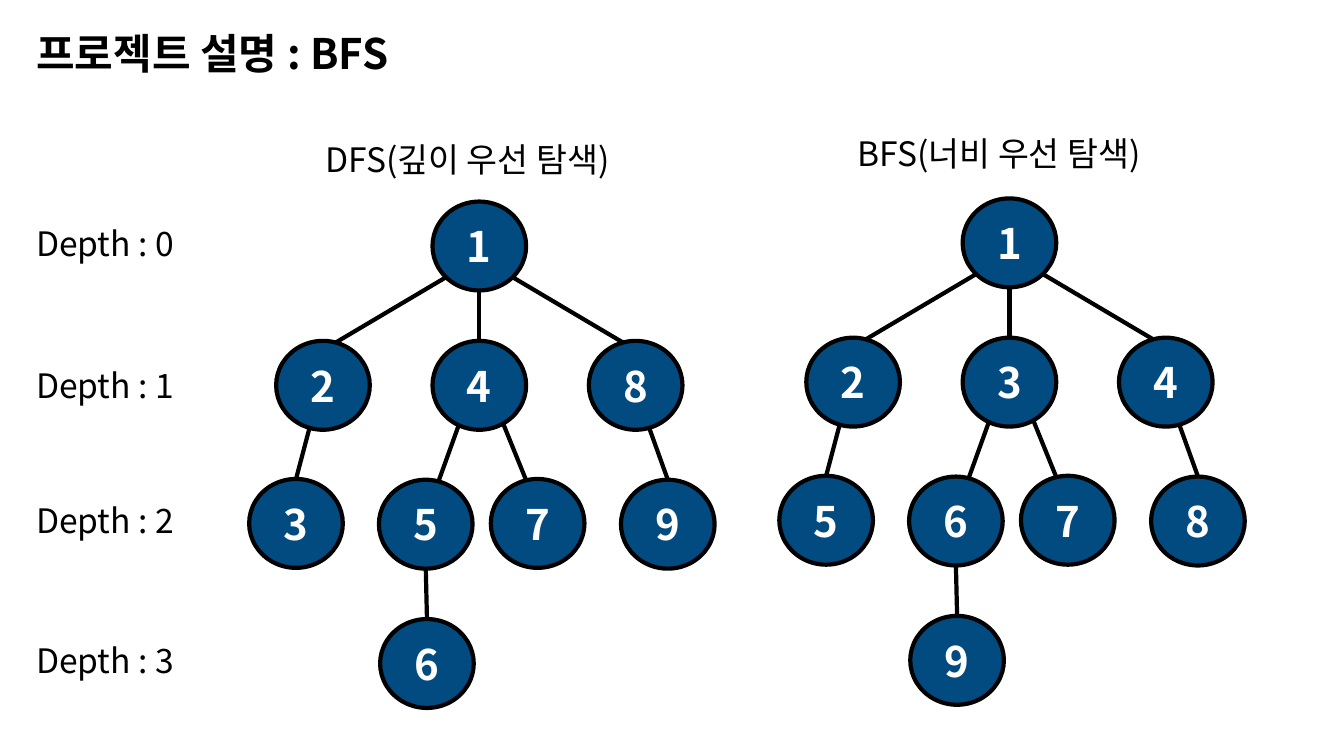
import dataclasses
import math

import pptx
import pptx.dml.color
import pptx.enum.shapes
import pptx.enum.text
import pptx.oxml
import pptx.oxml.ns
import pptx.util
from pptx.util import Cm

ALIGN = pptx.enum.text.PP_ALIGN
ANCHOR = pptx.enum.text.MSO_ANCHOR


@dataclasses.dataclass(frozen=True)
class Theme:
    font: str = "Noto Sans CJK KR"
    ink: str = "000000"
    node_fill: str = "024B80"
    node_text: str = "FFFFFF"
    heading_size: int = 30
    label_size: int = 24
    stroke: int = 3


THEME = Theme()

# All lengths are in centimetres
NODE_W, NODE_H = 2.36, 2.24
MARGIN = 0.66
LABEL_H = 1.27

# Node positions relative to the root of a tree
NODES = {
    "root": (0, 0),
    "middle": (0, 3.51),
    "left": (-3.94, 3.51),
    "right": (3.94, 3.51),
    "left leaf": (-4.62, 6.99),
    "right leaf": (4.75, 7.01),
    "middle left": (-1.35, 7.01),
    "middle right": (1.47, 6.99),
    "deepest": (-1.32, 10.52),
}

# Parent, child, and how far each end lies sideways from its node's centre
EDGES = [
    ("root", "middle", 0, 0),
    ("root", "left", -0.84, 0.32),
    ("root", "right", 0.84, -0.32),
    ("middle", "middle left", -0.52, 0.32),
    ("middle", "middle right", 0.6, -0.29),
    ("middle left", "deepest", 0, 0),
    ("left", "left leaf", -0.34, 0),
    ("right", "right leaf", 0.34, 0),
]

# Caption, its left, top and width, the root's left and top, numbers in NODES order
TREES = [
    ("DFS(깊이 우선 탐색)", (7.95, 3.38, 8.26), (10.9, 5.08), "142839576"),
    ("BFS(너비 우선 탐색)", (21.36, 3.23, 8.15), (24.26, 5.0), "132458679"),
]

DEPTH_TOPS = [5.49, 9.07, 12.47, 16.0]


def rgb(value):
    return pptx.dml.color.RGBColor.from_string(value)


def write(shape, text, size, color, bold=False, align=ALIGN.LEFT, anchor=ANCHOR.TOP):
    frame = shape.text_frame
    frame.text = text
    frame.word_wrap = False
    frame.vertical_anchor = anchor
    paragraph = frame.paragraphs[0]
    paragraph.alignment = align
    font = paragraph.runs[0].font
    font.name = THEME.font
    font.size = pptx.util.Pt(size)
    font.bold = bold
    font.color.rgb = rgb(color)
    # Korean letters take the East Asian typeface
    east_asian = pptx.oxml.parse_xml(
        f'<a:ea {pptx.oxml.ns.nsdecls("a")} typeface="{THEME.font}"/>')
    font._element.find(pptx.oxml.ns.qn("a:latin")).addnext(east_asian)


def style_line(line):
    line.color.rgb = rgb(THEME.ink)
    line.width = pptx.util.Pt(THEME.stroke)


def add_heading(slide, text):
    heading = slide.shapes.title
    heading.left, heading.top = Cm(MARGIN), Cm(0.56)
    heading.width, heading.height = Cm(10.16), Cm(1.55)
    write(heading, text, THEME.heading_size, THEME.ink, bold=True)
    heading.text_frame.auto_size = pptx.enum.text.MSO_AUTO_SIZE.SHAPE_TO_FIT_TEXT


def add_label(slide, text, left, top, width):
    label = slide.shapes.add_textbox(Cm(left), Cm(top), Cm(width), Cm(LABEL_H))
    write(label, text, THEME.label_size, THEME.ink)
    label.text_frame.auto_size = pptx.enum.text.MSO_AUTO_SIZE.SHAPE_TO_FIT_TEXT


def add_node(slide, number, left, top):
    node = slide.shapes.add_shape(
        pptx.enum.shapes.MSO_SHAPE.OVAL, Cm(left), Cm(top), Cm(NODE_W), Cm(NODE_H))
    node.shadow.inherit = False
    node.fill.solid()
    node.fill.fore_color.rgb = rgb(THEME.node_fill)
    style_line(node.line)
    write(node, number, THEME.heading_size, THEME.node_text, bold=True,
          align=ALIGN.CENTER, anchor=ANCHOR.MIDDLE)


def rim_point(corner, sideways, direction):
    """Point on a node's rim; direction is 1 for the lower half, -1 for the upper."""
    rise = NODE_H / 2 * math.sqrt(1 - (2 * sideways / NODE_W) ** 2)
    return (Cm(corner[0] + NODE_W / 2 + sideways),
            Cm(corner[1] + NODE_H / 2 + direction * rise))


def add_edge(slide, start, end):
    edge = slide.shapes.add_connector(
        pptx.enum.shapes.MSO_CONNECTOR.STRAIGHT, *start, *end)
    style_line(edge.line)
    edge._element.spPr.append(
        pptx.oxml.parse_xml(f'<a:effectLst {pptx.oxml.ns.nsdecls("a")}/>'))


def add_tree(slide, root, numbers):
    corners = {name: (root[0] + x, root[1] + y) for name, (x, y) in NODES.items()}
    for corner, number in zip(corners.values(), numbers):
        add_node(slide, number, *corner)
    for parent, child, parent_shift, child_shift in EDGES:
        add_edge(slide, rim_point(corners[parent], parent_shift, 1),
                 rim_point(corners[child], child_shift, -1))


def main():
    deck = pptx.Presentation()
    deck.slide_width, deck.slide_height = Cm(33.87), Cm(19.05)
    slide = deck.slides.add_slide(deck.slide_layouts.get_by_name("Title Only"))
    add_heading(slide, "프로젝트 설명 : BFS")

    # The two search trees
    for caption, caption_place, root, numbers in TREES:
        add_tree(slide, root, numbers)
        add_label(slide, caption, *caption_place)

    # Depth labels beside the tree levels
    for depth, top in enumerate(DEPTH_TOPS):
        add_label(slide, f"Depth : {depth}", MARGIN, top, 4.14)

    deck.save("out.pptx")


if __name__ == "__main__":
    main()
